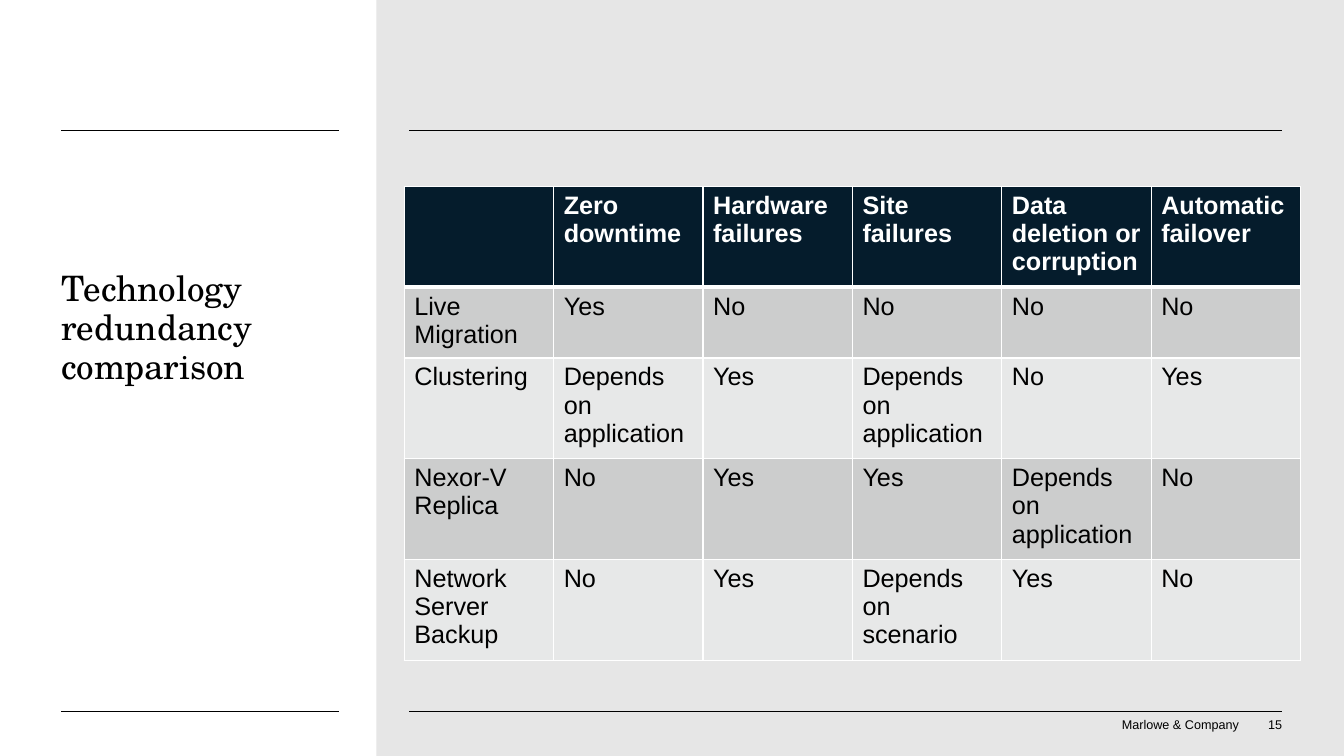
"""Build the technology redundancy comparison slide."""
from lxml import etree
from pptx import Presentation
from pptx.dml.color import RGBColor
from pptx.enum.shapes import MSO_CONNECTOR, MSO_SHAPE
from pptx.enum.text import MSO_ANCHOR, PP_ALIGN
from pptx.oxml.ns import qn
from pptx.util import Pt

RECTANGLE = MSO_SHAPE.RECTANGLE
STRAIGHT = MSO_CONNECTOR.STRAIGHT
BOTTOM = MSO_ANCHOR.BOTTOM
LEFT, CENTER, RIGHT = PP_ALIGN.LEFT, PP_ALIGN.CENTER, PP_ALIGN.RIGHT
BLACK, WHITE, NAVY = "000000", "FFFFFF", "051C2C"
PANEL_GRAY, DARK_BAND, LIGHT_BAND = "E6E6E6", "CCCDCD", "E7E8E8"


def color(hex_string):
    return RGBColor.from_string(hex_string)


def add_run(paragraph, text, size, font_name, hex_string, bold=False):
    run = paragraph.add_run()
    run.text = text
    run.font.size = Pt(size)
    run.font.name = font_name
    run.font.bold = bold
    run.font.color.rgb = color(hex_string)


presentation = Presentation()
presentation.slide_width = Pt(960)
presentation.slide_height = Pt(540)
slide = presentation.slides.add_slide(presentation.slide_layouts[6])

panel = slide.shapes.add_shape(RECTANGLE, Pt(268.8), Pt(0), Pt(691.2), Pt(540))
panel.shadow.inherit = False
panel.fill.solid()
panel.fill.fore_color.rgb = color(PANEL_GRAY)
panel.line.fill.background()

for rule_y in (508.2, 92.9):
    for rule_left, rule_right in ((292.5, 915.8), (43.8, 241.8)):
        rule = slide.shapes.add_connector(
            STRAIGHT, Pt(rule_left), Pt(rule_y), Pt(rule_right), Pt(rule_y))
        rule.line.color.rgb = color(BLACK)
        rule.line.width = Pt(0.5)
        etree.SubElement(rule.element.spPr, qn("a:effectLst"))

text_boxes = [
    ("Marlowe & Company", 798.5, 511.9, 89.3, 10.8, 9, "Arial", CENTER, False, 1),
    ("15", 890.6, 511.9, 25.2, 10.8, 9, "Arial", RIGHT, True, 1),
    ("Technology redundancy comparison", 43.8, 216, 198, 60.5, 25,
     "TeX Gyre Schola", LEFT, True, 0.93),
]
for text, left, top, width, height, size, font_name, alignment, wrap, spacing in text_boxes:
    box = slide.shapes.add_textbox(Pt(left), Pt(top), Pt(width), Pt(height))
    frame = box.text_frame
    frame.margin_left = frame.margin_right = frame.margin_top = frame.margin_bottom = 0
    frame.word_wrap = wrap
    frame.vertical_anchor = BOTTOM
    paragraph = frame.paragraphs[0]
    paragraph.alignment = alignment
    paragraph.line_spacing = spacing
    add_run(paragraph, text, size, font_name, BLACK)

comparison = [
    ["", "Zero downtime", "Hardware failures", "Site failures",
     "Data deletion or corruption", "Automatic failover"],
    ["Live Migration", "Yes", "No", "No", "No", "No"],
    ["Clustering", "Depends on application", "Yes", "Depends on application", "No", "Yes"],
    ["Nexor-V Replica", "No", "Yes", "Yes", "Depends on application", "No"],
    ["Network Server Backup", "No", "Yes", "Depends on scenario", "Yes", "No"],
]
row_heights = [67, 47, 67, 67, 67]
table = slide.shapes.add_table(
    len(comparison), len(comparison[0]),
    Pt(288.8), Pt(133.2), Pt(640.2), Pt(sum(row_heights))).table
for column in table.columns:
    column.width = Pt(106.7)

for row_index, row_texts in enumerate(comparison):
    table.rows[row_index].height = Pt(row_heights[row_index])
    is_header = row_index == 0
    band = NAVY if is_header else DARK_BAND if row_index % 2 else LIGHT_BAND
    border_widths = {
        "a:lnL": 1,
        "a:lnR": 1,
        "a:lnT": 3 if row_index == 1 else 1,
        "a:lnB": 3 if is_header else 1,
    }
    for column_index, text in enumerate(row_texts):
        cell = table.cell(row_index, column_index)
        properties = cell._tc.get_or_add_tcPr()
        for tag, border_width in border_widths.items():
            border = etree.SubElement(properties, qn(tag), w=str(Pt(border_width)))
            border_fill = etree.SubElement(border, qn("a:solidFill"))
            etree.SubElement(border_fill, qn("a:srgbClr"), val=WHITE)
        cell.fill.solid()
        cell.fill.fore_color.rgb = color(band)
        if text:
            add_run(cell.text_frame.paragraphs[0], text, 18, "Arial",
                    WHITE if is_header else BLACK, is_header)

presentation.save("out.pptx")
